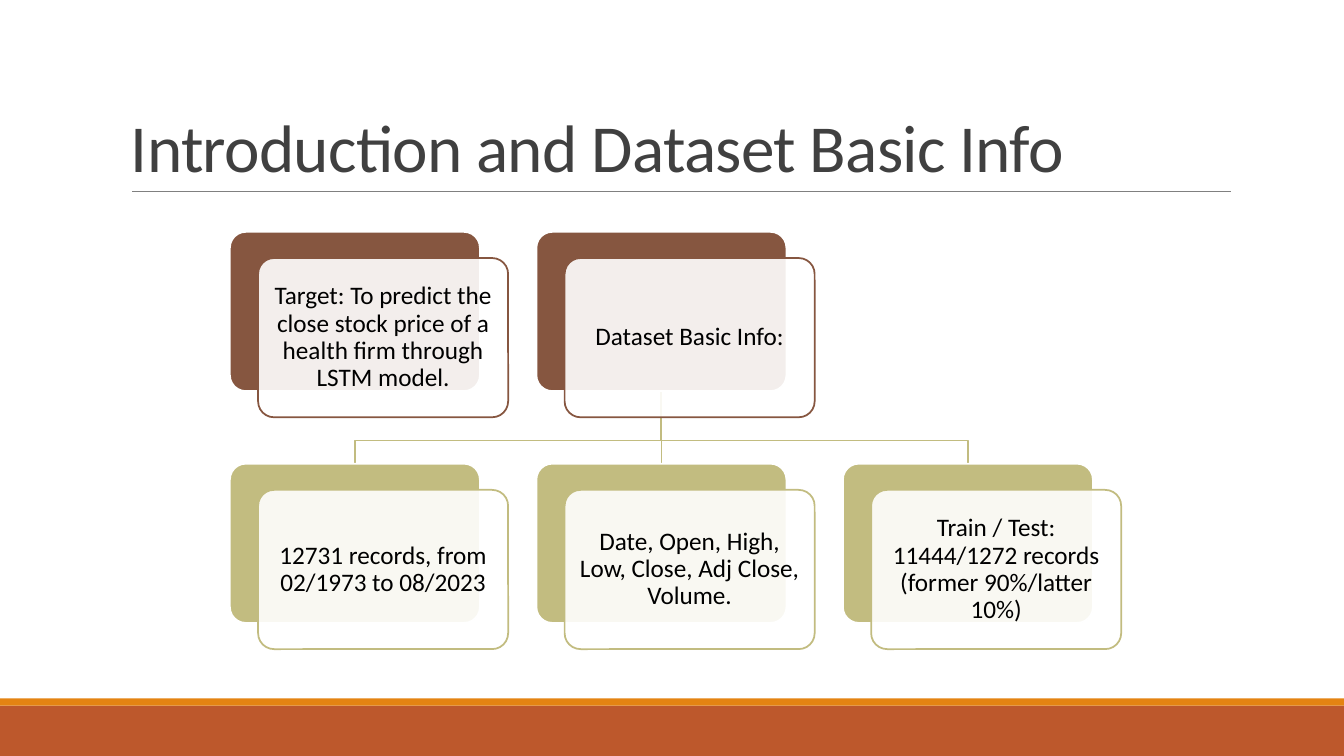
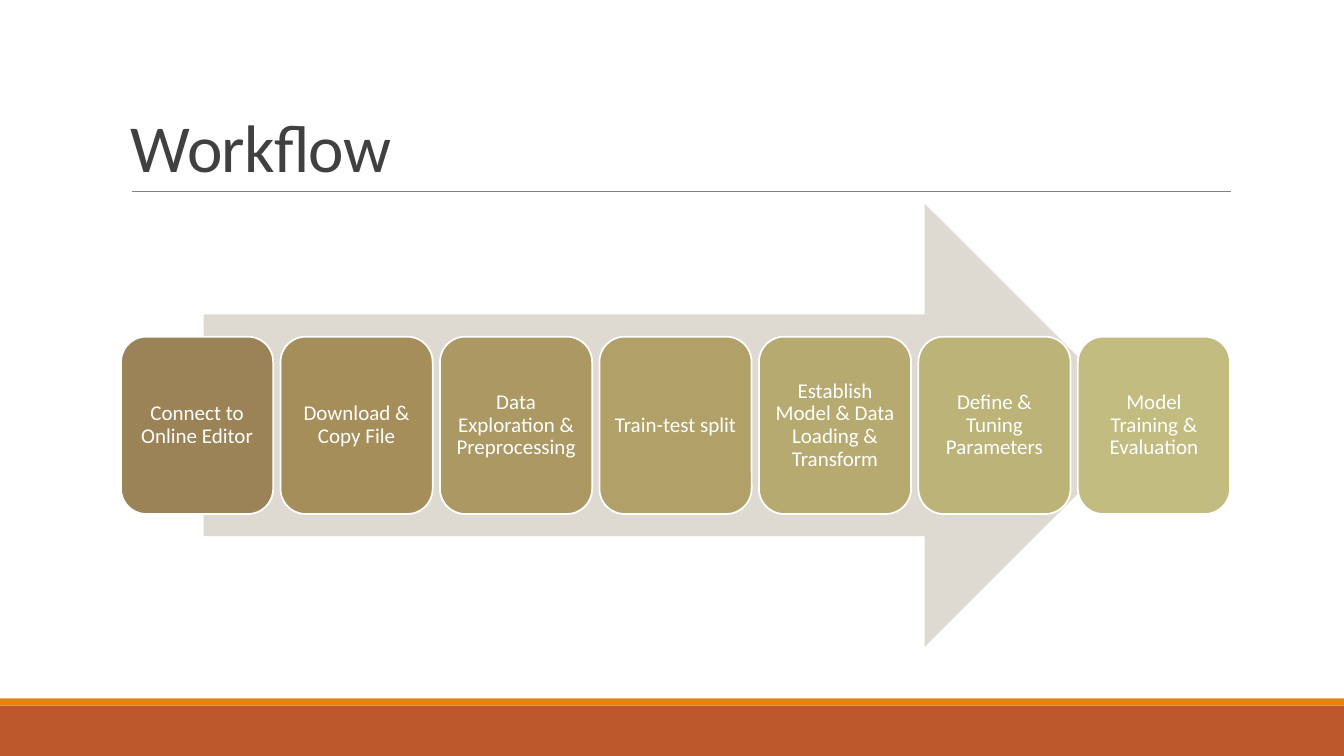
from lxml.etree import SubElement
from pptx import Presentation
from pptx.dml.color import RGBColor
from pptx.enum.shapes import MSO_CONNECTOR as Connector, MSO_SHAPE as Preset
from pptx.enum.text import MSO_ANCHOR as Anchor, PP_ALIGN as Align
from pptx.oxml.ns import qn
from pptx.util import Inches, Pt

# Shared look
FONT = "Calibri"
WHITE, BLACK = "FFFFFF", "000000"
RUST, ORANGE, BROWN, OLIVE = "BD582C", "E48312", "865640", "C2BC80"
TITLE_COLOR, RULE_COLOR, ARROW_COLOR = "404040", "808080", "DED9D1"
SLIDE_WIDTH, SLIDE_HEIGHT = 13.33, 7.5
OUTLINE = 1.25

# Card grid on the first slide
CARD_WIDTH, CARD_HEIGHT = 2.48, 1.58
CARD_LEFT, COLUMN_PITCH = 2.28, 3.04
ROW_TOPS = (2.3, 4.6)
FRONT_SHIFT = (0.28, 0.26)
BRANCH_TOP, BRANCH_BEND = 3.87, 4.37
CARD_ROWS = [
    (BROWN, ["Target: To predict the close stock price of a health firm "
             "through LSTM model.",
             "Dataset Basic Info:"]),
    (OLIVE, ["12731 records, from 02/1973 to 08/2023",
             "Date, Open, High, Low, Close, Adj Close, Volume.",
             "Train / Test: 11444/1272 records (former 90%/latter 10%)"]),
]

# Step row on the second slide
STEPS_LEFT, STEPS_WIDTH, STEP_TOP = 1.2, 11, 3.34
STEP_WIDTH, STEP_HEIGHT = 1.51, 1.76
STEPS = [
    ("Connect to Online Editor", "9B8357"),
    ("Download & Copy File", "A58E5A"),
    ("Data Exploration & Preprocessing", "AB9862"),
    ("Train-test split", "B1A169"),
    ("Establish Model & Data Loading & Transform", "B7AA70"),
    ("Define & Tuning Parameters", "BCB378"),
    ("Model Training & Evaluation", OLIVE),
]


def rgb(color):
    return RGBColor.from_string(color)


def set_values(target, values):
    for name, value in values.items():
        setattr(target, name, value)


def set_line(line, color, width):
    line.color.rgb = rgb(color)
    line.width = Pt(width)


def add_box(slide, preset, box, fill, line=None, radius=None, alpha=None):
    shape = slide.shapes.add_shape(preset, *map(Inches, box))
    shape.shadow.inherit = False
    shape.fill.solid()
    shape.fill.fore_color.rgb = rgb(fill)
    if alpha is not None:
        color = shape.fill._xPr.find(".//" + qn("a:srgbClr"))
        SubElement(color, qn("a:alpha")).set("val", str(alpha * 1000))
    if line:
        set_line(shape.line, line, OUTLINE)
    else:
        shape.line.fill.background()
    if radius is not None:
        shape.adjustments[0] = radius
    return shape


def write(shape, text, size, color, inset=None, anchor=Anchor.MIDDLE,
          align=Align.CENTER, spacing=0.9):
    frame = shape.text_frame
    set_values(frame, {"word_wrap": True, "vertical_anchor": anchor})
    if inset is not None:
        sides = ("left", "top", "right", "bottom")
        set_values(frame, {f"margin_{side}": Inches(inset) for side in sides})
    paragraph = frame.paragraphs[0]
    set_values(paragraph, {"alignment": align, "line_spacing": spacing})
    run = paragraph.add_run()
    run.text = text
    set_values(run.font, {"name": FONT, "size": Pt(size)})
    run.font.color.rgb = rgb(color)
    return run


def add_line(slide, start, end, color, width):
    connector = slide.shapes.add_connector(
        Connector.STRAIGHT, *map(Inches, start + end))
    set_line(connector.line, color, width)
    SubElement(connector._element.spPr, qn("a:effectLst"))


def add_branch(slide, points):
    start, *others = [tuple(map(Inches, point)) for point in points]
    builder = slide.shapes.build_freeform(*start)
    builder.add_line_segments(others, close=False)
    branch = builder.convert_to_shape()
    branch.shadow.inherit = False
    branch.fill.background()
    set_line(branch.line, OLIVE, OUTLINE)


def add_card(slide, left, top, text, color):
    size = (CARD_WIDTH, CARD_HEIGHT)
    shift_x, shift_y = FRONT_SHIFT
    add_box(slide, Preset.ROUNDED_RECTANGLE, (left, top, *size),
            color, WHITE, radius=0.1)
    front = add_box(slide, Preset.ROUNDED_RECTANGLE,
                    (left + shift_x, top + shift_y, *size),
                    WHITE, color, radius=0.1, alpha=90)
    write(front, text, 18, BLACK, inset=0.07)


def new_slide(presentation, title):
    slide = presentation.slides.add_slide(presentation.slide_layouts[6])
    # Footer bands and title rule
    add_box(slide, Preset.RECTANGLE, (0, 7, SLIDE_WIDTH, 0.5), RUST)
    add_box(slide, Preset.RECTANGLE, (0, 6.93, SLIDE_WIDTH, 0.07), ORANGE)
    add_line(slide, (1.31, 1.9), (12.21, 1.9), RULE_COLOR, 0.5)
    # Title with slightly tightened letters
    box = slide.shapes.add_textbox(*map(Inches, (1.2, 0.31, 11, 1.59)))
    run = write(box, title, 48, TITLE_COLOR, anchor=Anchor.BOTTOM,
                align=Align.LEFT, spacing=0.85)
    run._r.get_or_add_rPr().set("spc", "-50")
    return slide


def build_introduction(presentation):
    slide = new_slide(presentation, "Introduction and Dataset Basic Info")
    # Branches from the middle card to the lower row
    left, middle, right = (
        CARD_LEFT + CARD_WIDTH / 2 + column * COLUMN_PITCH
        for column in range(3))
    for end in (right, left):
        add_branch(slide, [(middle, BRANCH_TOP), (middle, BRANCH_BEND),
                           (end, BRANCH_BEND), (end, ROW_TOPS[1])])
    add_line(slide, (middle, BRANCH_TOP), (middle, ROW_TOPS[1]),
             OLIVE, OUTLINE)
    # Cards
    for top, (color, texts) in zip(ROW_TOPS, CARD_ROWS):
        for column, text in enumerate(texts):
            add_card(slide, CARD_LEFT + column * COLUMN_PITCH, top,
                     text, color)


def build_workflow(presentation):
    slide = new_slide(presentation, "Workflow")
    add_box(slide, Preset.RIGHT_ARROW, (2.02, 2.02, 9.35, 4.4), ARROW_COLOR)
    # Steps spread evenly over the row
    pitch = (STEPS_WIDTH - STEP_WIDTH) / (len(STEPS) - 1)
    for index, (text, color) in enumerate(STEPS):
        box = (STEPS_LEFT + index * pitch, STEP_TOP, STEP_WIDTH, STEP_HEIGHT)
        step = add_box(slide, Preset.ROUNDED_RECTANGLE, box, color, WHITE)
        write(step, text, 15, WHITE, inset=0.06)


def main():
    presentation = Presentation()
    set_values(presentation, {"slide_width": Inches(SLIDE_WIDTH),
                              "slide_height": Inches(SLIDE_HEIGHT)})
    build_introduction(presentation)
    build_workflow(presentation)
    presentation.save("out.pptx")


if __name__ == "__main__":
    main()
